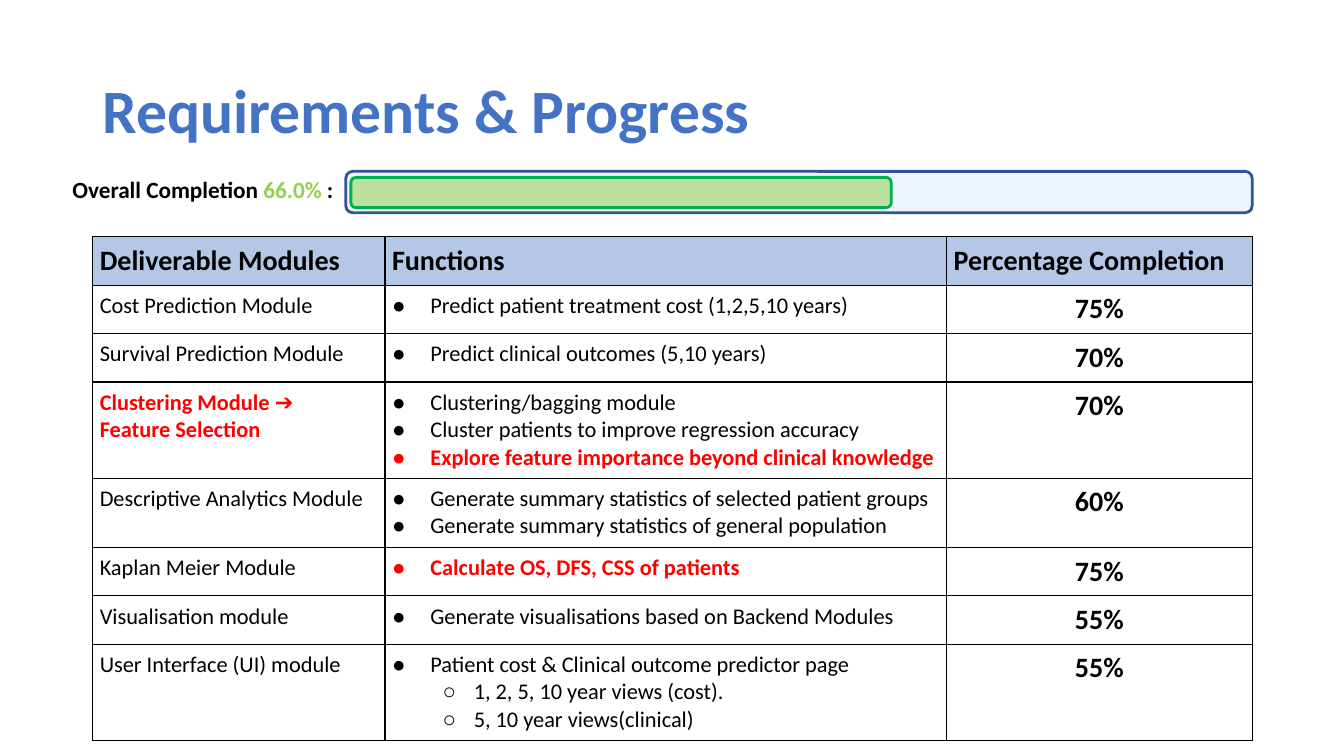
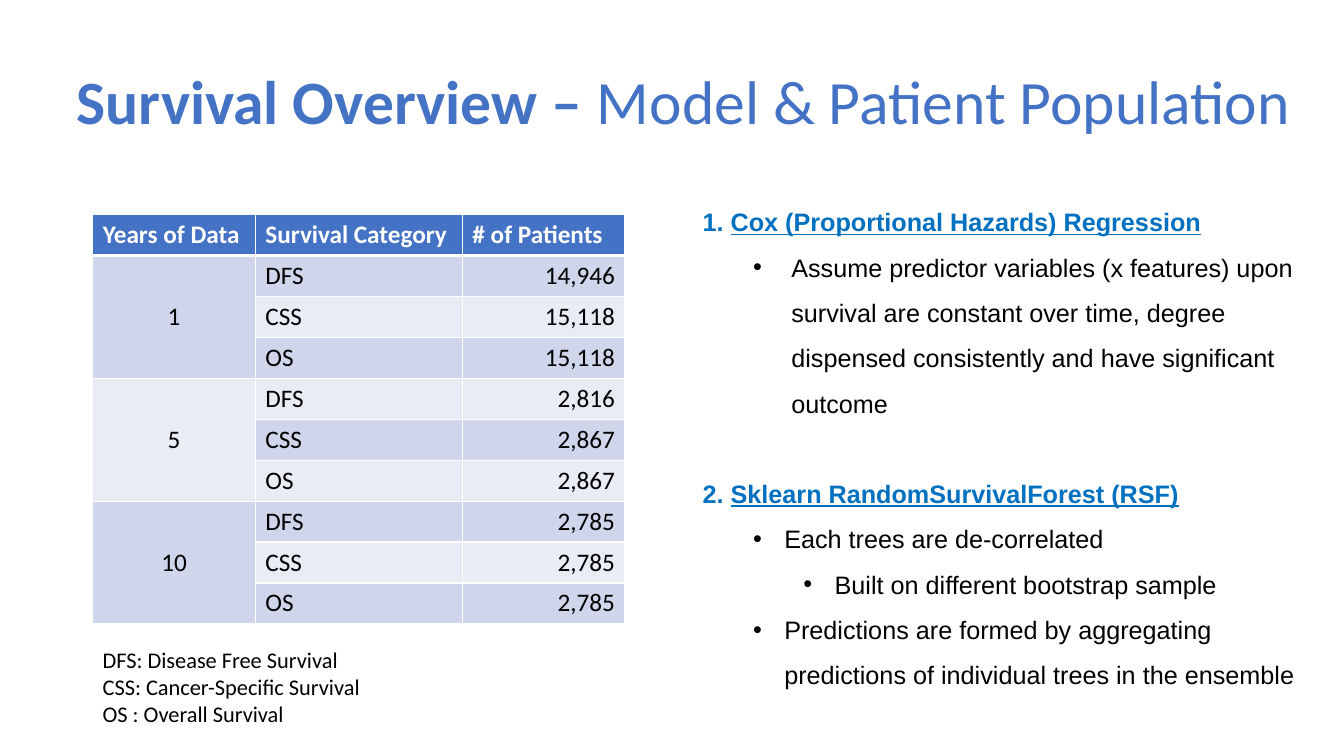
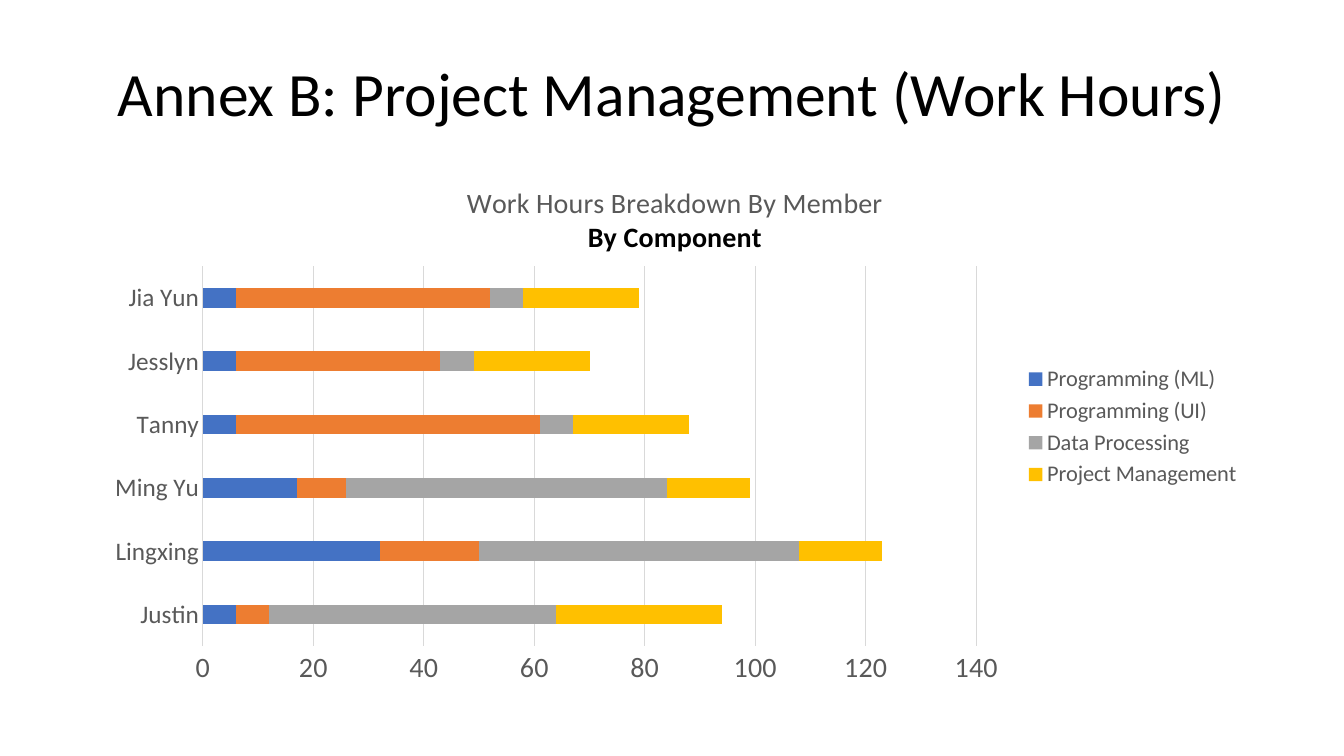
from dataclasses import dataclass
from typing import Optional, Sequence

from lxml import etree
from pptx import Presentation
from pptx import util as u
from pptx.chart import data as chart_data
from pptx.dml.color import RGBColor
from pptx.enum import chart as charts
from pptx.enum import shapes, text
from pptx.oxml import ns

COLORS = {
    "accent": "4472C4", "black": "000000", "white": "FFFFFF", "red": "FF0000",
    "heading": "0070C0", "header": "B4C7E7", "band_dark": "CFD5EA", "band_light": "E9EBF5",
    "track": "DEEBF7", "track_line": "325491", "done": "92D050", "done_line": "00B050",
    "chart_text": "595959", "grid": "D9D9D9",
    "orange": "ED7D31", "gray": "A5A5A5", "yellow": "FFC000",
}
SLIDE_WIDTH, SLIDE_HEIGHT = u.Inches(13.33), u.Inches(7.5)
LEFT, BODY_WIDTH = 6.9, 86.27
TITLE_ONLY = 5
CENTER, RIGHT = text.PP_ALIGN.CENTER, text.PP_ALIGN.RIGHT
MIDDLE, BOTTOM = text.MSO_ANCHOR.MIDDLE, text.MSO_ANCHOR.BOTTOM


@dataclass(frozen=True)
class Area:
    """A rectangle in percent of the slide's width and height."""
    left: float
    top: float
    width: float
    height: float

    def box(self) -> tuple[int, int, int, int]:
        return (int(SLIDE_WIDTH * self.left / 100), int(SLIDE_HEIGHT * self.top / 100),
                int(SLIDE_WIDTH * self.width / 100), int(SLIDE_HEIGHT * self.height / 100))


@dataclass(frozen=True)
class Bullet:
    mark: str
    left: float
    hang: float
    level: int = 0


@dataclass(frozen=True)
class Span:
    text: str
    color: str = "black"
    bold: bool = False
    underline: bool = False


@dataclass(frozen=True)
class Para:
    spans: Sequence[Span]
    bullet: Optional[Bullet] = None
    align: Optional[text.PP_ALIGN] = None
    before: float = 0


@dataclass(frozen=True)
class Module:
    name: Sequence[Para]
    functions: Sequence[Para]
    completion: str
    height: float = 0.48


@dataclass(frozen=True)
class WorkSeries:
    name: str
    hours: Sequence[int]
    color: str


DISC = Bullet("●", 0.38, 0.38)
CIRCLE = Bullet("○", 0.81, 0.31, 1)
WIDE_DOT = Bullet("•", 0.88, 0.38, 1)
DOT = Bullet("•", 0.81, 0.31, 1)
SUB_DOT = Bullet("•", 1.31, 0.31, 2)


def line_of(words: str, color: str = "black", bold: bool = False,
            bullet: Optional[Bullet] = None, align=None) -> Para:
    return Para([Span(words, color, bold)], bullet, align)


def alert(words: str, bullet: Optional[Bullet] = None) -> Para:
    return line_of(words, "red", True, bullet)


def item(words: str, bullet: Bullet = DISC) -> Para:
    return line_of(words, bullet=bullet)


def heading(number: str, words: str, before: float = 0) -> Para:
    return Para([Span(number, "heading", True), Span(words, "heading", True, True)],
                before=before)


MODULES = [
    Module([line_of("Cost Prediction Module")],
           [item("Predict patient treatment cost (1,2,5,10 years)")], "75%"),
    Module([line_of("Survival Prediction Module")],
           [item("Predict clinical outcomes (5,10 years)")], "70%"),
    Module([alert("Clustering Module ➔"), alert("Feature Selection")],
           [item("Clustering/bagging module"),
            item("Cluster patients to improve regression accuracy"),
            alert("Explore feature importance beyond clinical knowledge", DISC)], "70%", 0.95),
    Module([line_of("Descriptive Analytics Module")],
           [item("Generate summary statistics of selected patient groups"),
            item("Generate summary statistics of general population")], "60%", 0.69),
    Module([line_of("Kaplan Meier Module")],
           [alert("Calculate OS, DFS, CSS of patients", DISC)], "75%"),
    Module([line_of("Visualisation module")],
           [item("Generate visualisations based on Backend Modules")], "55%"),
    Module([line_of("User Interface (UI) module")],
           [item("Patient cost & Clinical outcome predictor page"),
            item("1, 2, 5, 10 year views (cost).", CIRCLE),
            item("5, 10 year views(clinical)", CIRCLE)], "55%", 0.95),
]
PATIENTS = {
    "1": {"DFS": "14,946", "CSS": "15,118", "OS": "15,118"},
    "5": {"DFS": "2,816", "CSS": "2,867", "OS": "2,867"},
    "10": {"DFS": "2,785", "CSS": "2,785", "OS": "2,785"},
}
MODEL_NOTES = [
    heading("1. ", "Cox (Proportional Hazards) Regression"),
    item("Assume predictor variables (x features) upon survival are constant over time, "
         "degree dispensed consistently and have significant outcome", WIDE_DOT),
    heading("2. ", "Sklearn RandomSurvivalForest (RSF)", before=32),
    item("Each trees are de-correlated", DOT),
    item("Built on different bootstrap sample", SUB_DOT),
    item("Predictions are formed by aggregating predictions of individual trees "
         "in the ensemble", DOT),
]
ABBREVIATIONS = ["DFS: Disease Free Survival", "CSS: Cancer-Specific Survival",
                 "OS : Overall Survival"]
MEMBERS = ["Justin", "Lingxing", "Ming Yu", "Tanny", "Jesslyn", "Jia Yun"]
WORK = [
    WorkSeries("Programming (ML)", [6, 32, 17, 6, 6, 6], "accent"),
    WorkSeries("Programming (UI)", [6, 18, 9, 55, 37, 46], "orange"),
    WorkSeries("Data Processing", [52, 58, 58, 6, 6, 6], "gray"),
    WorkSeries("Project Management", [30, 15, 15, 21, 21, 21], "yellow"),
]


def rgb(name: str) -> RGBColor:
    return RGBColor.from_string(COLORS[name])


def add_xml(parent, tag: str, **attributes):
    return etree.SubElement(parent, ns.qn(tag), attributes)


def style_font(font, size: float, color: str, bold: bool = False, name: str = "Calibri") -> None:
    font.name, font.size, font.bold = name, u.Pt(size), bold
    font.color.rgb = rgb(color)


def add_bullet(para, bullet: Bullet) -> None:
    para.level = bullet.level
    properties = para._p.get_or_add_pPr()
    properties.set("marL", str(u.Inches(bullet.left)))
    properties.set("indent", str(-u.Inches(bullet.hang)))
    add_xml(properties, "a:buFont", typeface="Arial")
    add_xml(properties, "a:buChar", char=bullet.mark)


def write(frame, paras: Sequence[Para], size: float, name: str = "Calibri",
          spacing: Optional[float] = None) -> None:
    for index, content in enumerate(paras):
        para = frame.paragraphs[0] if index == 0 else frame.add_paragraph()
        if content.bullet:
            add_bullet(para, content.bullet)
        if content.align is not None:
            para.alignment = content.align
        if spacing:
            para.line_spacing = spacing
        if content.before:
            para.space_before = u.Pt(content.before)
        for span in content.spans:
            run = para.add_run()
            run.text = span.text
            style_font(run.font, size, span.color, span.bold, name)
            run.font.underline = span.underline


def add_page(deck, area: Area, spans: Sequence[Span], align=text.PP_ALIGN.LEFT, anchor=MIDDLE):
    """Add a title-only slide with its title placed and formatted."""
    page = deck.slides.add_slide(deck.slide_layouts[TITLE_ONLY])
    title = page.shapes.title
    title.left, title.top, title.width, title.height = area.box()
    frame = title.text_frame
    frame.auto_size = text.MSO_AUTO_SIZE.NONE
    frame.word_wrap, frame.vertical_anchor = True, anchor
    write(frame, [Para(spans, align=align)], 44, spacing=0.9)
    return page


def add_text(page, area: Area, paras: Sequence[Para], size: float, name: str = "Calibri",
             spacing: Optional[float] = None) -> None:
    frame = page.shapes.add_textbox(*area.box()).text_frame
    frame.word_wrap = True
    write(frame, paras, size, name, spacing)


def add_bar(page, area: Area, fill: str, line: str) -> None:
    """Add a rounded bar with a half-transparent fill."""
    bar = page.shapes.add_shape(shapes.MSO_SHAPE.ROUNDED_RECTANGLE, *area.box())
    bar.shadow.inherit = False
    bar.fill.solid()
    bar.fill.fore_color.rgb = rgb(fill)
    add_xml(bar._element.spPr.find(".//" + ns.qn("a:srgbClr")), "a:alpha", val="54000")
    bar.line.color.rgb = rgb(line)
    bar.line.width = u.Pt(2)


def add_grid(page, area: Area, columns: Sequence[float], rows: Sequence[float]):
    """Add a plain table; columns and rows are relative sizes."""
    left, top, width, height = area.box()
    table = page.shapes.add_table(len(rows), len(columns), left, top, width, height).table
    table.first_row = table.horz_banding = False
    for column, size in zip(table.columns, columns):
        column.width = int(width * size / sum(columns))
    for row, size in zip(table.rows, rows):
        row.height = int(height * size / sum(rows))
    return table


def style_cell(cell, fill: Optional[str], border: str, bottom: float = 1) -> None:
    properties = cell._tc.get_or_add_tcPr()
    for side, width in zip("LRTB", (1, 1, 1, bottom)):
        line = add_xml(properties, f"a:ln{side}", w=str(u.Pt(width)))
        add_xml(add_xml(line, "a:solidFill"), "a:srgbClr", val=COLORS[border])
    if fill:
        cell.fill.solid()
        cell.fill.fore_color.rgb = rgb(fill)
    else:
        cell.fill.background()


def set_layout(parent, position: int, **shares: float) -> None:
    """Place a chart part by shares of the chart's size."""
    for old in parent.findall(ns.qn("c:layout")):
        parent.remove(old)
    layout = parent.makeelement(ns.qn("c:layout"), {})
    parent.insert(position, layout)
    manual = add_xml(layout, "c:manualLayout")
    if "w" in shares:
        add_xml(manual, "c:layoutTarget", val="inner")
    for axis in "xy":
        add_xml(manual, f"c:{axis}Mode", val="edge")
    for key, share in shares.items():
        add_xml(manual, f"c:{key}", val=str(share))


def draw_progress(deck) -> None:
    page = add_page(deck, Area(LEFT, 5.33, BODY_WIDTH, 19.33),
                    [Span("Requirements & Progress", "accent", True)])
    rows = [0.48] + [module.height for module in MODULES]
    table = add_grid(page, Area(LEFT, 31.33, BODY_WIDTH, 66.27), [2.9, 5.57, 3.03], rows)
    headers = ["Deliverable Modules", "Functions", "Percentage Completion"]
    contents = [[([line_of(words, bold=True)], 20) for words in headers]]
    for module in MODULES:
        contents.append([(module.name, 16), (module.functions, 16),
                         ([line_of(module.completion, bold=True, align=CENTER)], 20)])
    for row, entries in enumerate(contents):
        for column, (paras, size) in enumerate(entries):
            cell = table.cell(row, column)
            cell.margin_left = cell.margin_right = u.Inches(0.07)
            cell.margin_top = cell.margin_bottom = u.Inches(0.07)
            style_cell(cell, None if row else "header", "black")
            write(cell.text_frame, paras, size)
    add_bar(page, Area(25.73, 22.67, 67.44, 5.47), "track", "track_line")
    add_text(page, Area(4.65, 22.93, 21.9, 7.07),
             [Para([Span("Overall Completion ", bold=True), Span("66.0%", "done", True),
                    Span(" :", bold=True)])], 16.6, spacing=0.9)
    add_bar(page, Area(26.11, 23.47, 40.21, 4), "done", "done_line")


def draw_survival(deck) -> None:
    page = add_page(deck, Area(4.95, 4.13, 93.17, 19.33),
                    [Span("Survival Overview – ", "accent", True),
                     Span("Model & Patient Population", "accent")])
    contents = [[line_of(words, "white", True)
                 for words in ("Years of Data", "Survival Category", "# of Patients")]]
    for years, counts in PATIENTS.items():
        for index, (category, count) in enumerate(counts.items()):
            contents.append([line_of(years, align=CENTER) if index == 0 else None,
                             line_of(category), line_of(count, align=RIGHT)])
    table = add_grid(page, Area(LEFT, 28.4, 39.61, 54.13), [1.61, 2.05, 1.61],
                     [1] * len(contents))
    for row, entries in enumerate(contents):
        fill = "accent" if row == 0 else ("band_dark" if row % 2 else "band_light")
        for column, para in enumerate(entries):
            cell = table.cell(row, column)
            style_cell(cell, fill, "white", 1 if row else 3)
            if para:
                write(cell.text_frame, [para], 18)
    group = len(PATIENTS["1"])
    for row in range(1, len(contents), group):
        table.cell(row, 0).merge(table.cell(row + group - 1, 0))
        table.cell(row, 0).vertical_anchor = MIDDLE
    add_text(page, Area(51.54, 24.67, 46.14, 68), MODEL_NOTES, 18, "Arial", 1.5)
    add_text(page, Area(LEFT, 84.8, 20.93, 12.53),
             [line_of(words) for words in ABBREVIATIONS], 16)


def draw_hours(deck) -> None:
    page = add_page(deck, Area(LEFT, 4.27, BODY_WIDTH, 13.6),
                    [Span("Annex B: Project Management (Work Hours)")], CENTER, BOTTOM)
    data = chart_data.CategoryChartData()
    data.categories = MEMBERS
    for series in WORK:
        data.add_series(series.name, series.hours)
    chart = page.shapes.add_chart(charts.XL_CHART_TYPE.BAR_STACKED,
                                  *Area(LEFT, 21.07, BODY_WIDTH, 70.8).box(), data).chart
    style_font(chart.font, 10, "black")
    write(chart.chart_title.text_frame,
          [line_of("Work Hours Breakdown By Member", "chart_text", align=CENTER),
           line_of("By Component", bold=True, align=CENTER)], 20)
    set_layout(chart.chart_title._element, 1, x=0.32, y=0.04)
    set_layout(chart._chartSpace.find(".//" + ns.qn("c:plotArea")), 0,
               x=0.095, y=0.2, w=0.667, h=0.71)

    plot = chart.plots[0]
    plot.gap_width, plot.overlap, plot.vary_by_categories = 219, 100, False
    for drawn, series in zip(plot.series, WORK):
        drawn.invert_if_negative = False
        drawn.format.fill.solid()
        drawn.format.fill.fore_color.rgb = rgb(series.color)

    members, hours = chart.category_axis, chart.value_axis
    for axis, size in ((members, 18), (hours, 20)):
        axis.major_tick_mark = axis.minor_tick_mark = charts.XL_TICK_MARK.NONE
        style_font(axis.tick_labels.font, size, "chart_text")
    members.has_major_gridlines = False
    hours.has_major_gridlines = True
    hours.minimum_scale, hours.maximum_scale, hours.major_unit = 0, 140, 20
    hours.format.line.fill.background()
    for line in (members.format.line, hours.major_gridlines.format.line):
        line.color.rgb = rgb("grid")
        line.width = u.Pt(0.75)

    chart.has_legend = True
    chart.legend.position = charts.XL_LEGEND_POSITION.RIGHT
    chart.legend.include_in_layout = False
    style_font(chart.legend.font, 16, "chart_text")


def main() -> None:
    deck = Presentation()
    deck.slide_width, deck.slide_height = SLIDE_WIDTH, SLIDE_HEIGHT
    for draw in (draw_progress, draw_survival, draw_hours):
        draw(deck)
    deck.save("out.pptx")


if __name__ == "__main__":
    main()
